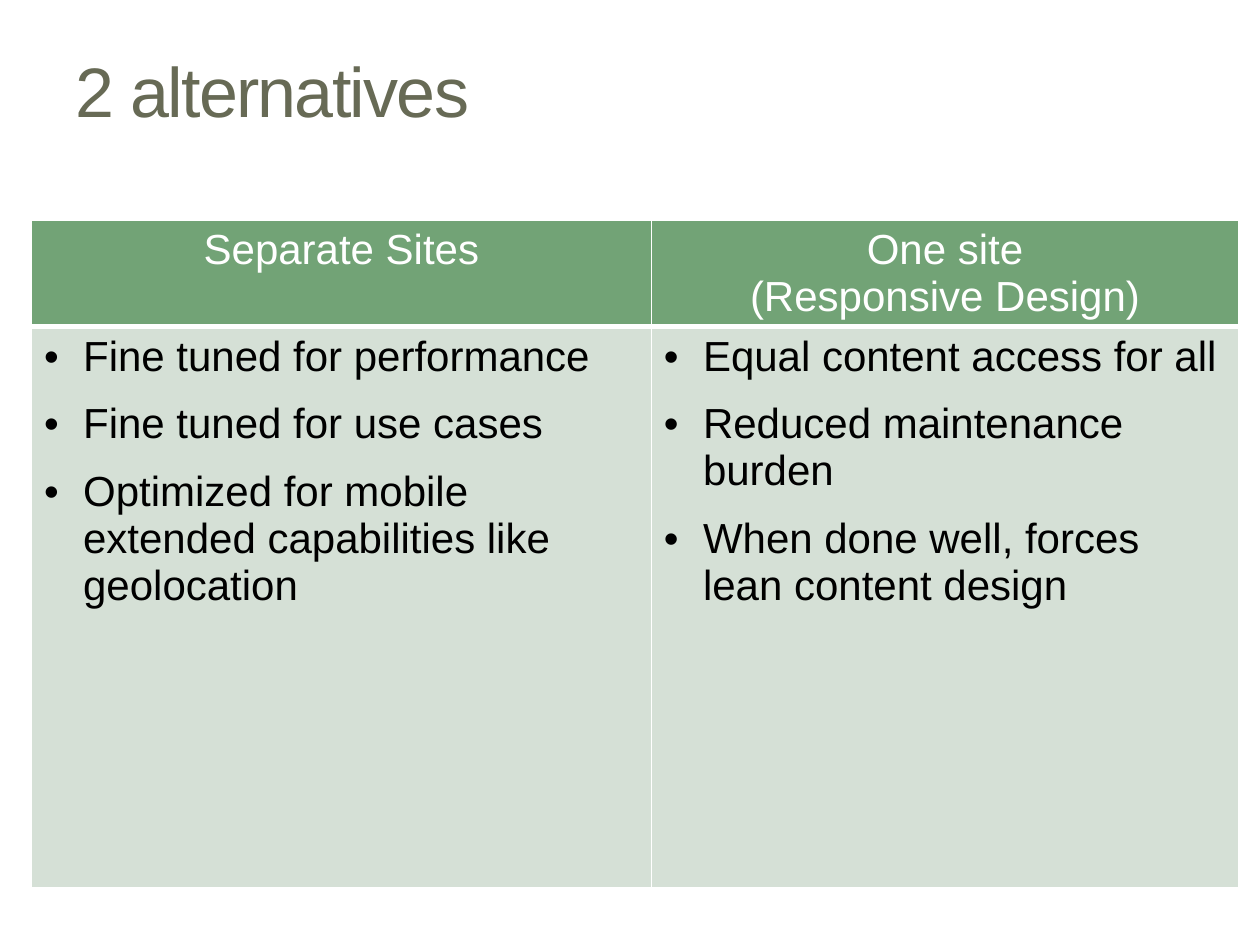
from lxml.etree import SubElement
from pptx import Presentation
from pptx.dml.color import RGBColor
from pptx.enum.text import MSO_ANCHOR, PP_ALIGN
from pptx.oxml.ns import qn
from pptx.util import Inches, Pt

TITLE = "2 alternatives"
ALTERNATIVES = [
    {
        "heading": ["Separate Sites"],
        "points": [
            "Fine tuned for performance",
            "Fine tuned for use cases",
            "Optimized for mobile extended capabilities like geolocation",
        ],
        "width": 4.92,
    },
    {
        "heading": ["One site", "(Responsive Design)"],
        "points": [
            "Equal content access for all",
            "Reduced maintenance burden",
            "When done well, forces lean content design",
        ],
        "width": 4.66,
    },
]
ROW_HEIGHTS = [0.84, 4.45]
FONT = "Arial"
WHITE, BLACK, OLIVE = "FFFFFF", "000000", "676A55"
GREEN, PALE_GREEN = "72A376", "D5E0D6"


def color(value):
    return RGBColor.from_string(value)


def style_font(font, size, value):
    font.name = FONT
    font.size = Pt(size)
    font.bold = False
    font.color.rgb = color(value)


def add_borders(cell, bottom_width):
    properties = cell._tc.get_or_add_tcPr()
    widths = {"a:lnL": 1, "a:lnR": 1, "a:lnT": 1, "a:lnB": bottom_width}
    for index, (tag, width) in enumerate(widths.items()):
        line = properties.makeelement(qn(tag), {"w": str(Pt(width))})
        properties.insert(index, line)
        fill = SubElement(line, qn("a:solidFill"))
        SubElement(fill, qn("a:srgbClr"), val=WHITE)


def add_bullet(paragraph):
    properties = paragraph._p.get_or_add_pPr()
    properties.set("marL", str(Inches(0.31)))
    properties.set("indent", str(Inches(-0.31)))
    SubElement(properties, qn("a:buFont"), typeface=FONT)
    SubElement(properties, qn("a:buChar"), char="•")


def fill_cell(cell, lines, fill, text_color, bulleted):
    cell.fill.solid()
    cell.fill.fore_color.rgb = color(fill)
    add_borders(cell, 1 if bulleted else 3)
    cell.text_frame.text = "\n".join(lines)
    for index, paragraph in enumerate(cell.text_frame.paragraphs):
        if bulleted:
            add_bullet(paragraph)
            paragraph.space_before = Pt(6 if index else 0)
            paragraph.space_after = Pt(6)
        else:
            paragraph.alignment = PP_ALIGN.CENTER
        style_font(paragraph.runs[0].font, 24, text_color)


def add_title(slide):
    title = slide.shapes.title
    title.left, title.top = Inches(0.5), Inches(0.17)
    title.width, title.height = Inches(9), Inches(1.08)
    frame = title.text_frame
    frame.text = TITLE
    frame.vertical_anchor = MSO_ANCHOR.MIDDLE
    paragraph = frame.paragraphs[0]
    paragraph.alignment = PP_ALIGN.LEFT
    run = paragraph.runs[0]
    style_font(run.font, 40, OLIVE)
    run._r.get_or_add_rPr().set("spc", "-100")


def add_comparison(slide):
    total_width = sum(item["width"] for item in ALTERNATIVES)
    table = slide.shapes.add_table(
        len(ROW_HEIGHTS), len(ALTERNATIVES), Inches(0.25), Inches(1.75),
        Inches(total_width), Inches(sum(ROW_HEIGHTS)),
    ).table
    for row, height in zip(table.rows, ROW_HEIGHTS):
        row.height = Inches(height)
    for index, item in enumerate(ALTERNATIVES):
        table.columns[index].width = Inches(item["width"])
        fill_cell(table.cell(0, index), item["heading"], GREEN, WHITE, False)
        fill_cell(table.cell(1, index), item["points"], PALE_GREEN, BLACK, True)


def main():
    """Build the slide comparing separate sites with one responsive site."""
    presentation = Presentation()
    presentation.slide_width, presentation.slide_height = Inches(10), Inches(7.5)
    slide = presentation.slides.add_slide(presentation.slide_layouts[5])
    add_title(slide)
    add_comparison(slide)
    presentation.save("out.pptx")


if __name__ == "__main__":
    main()
